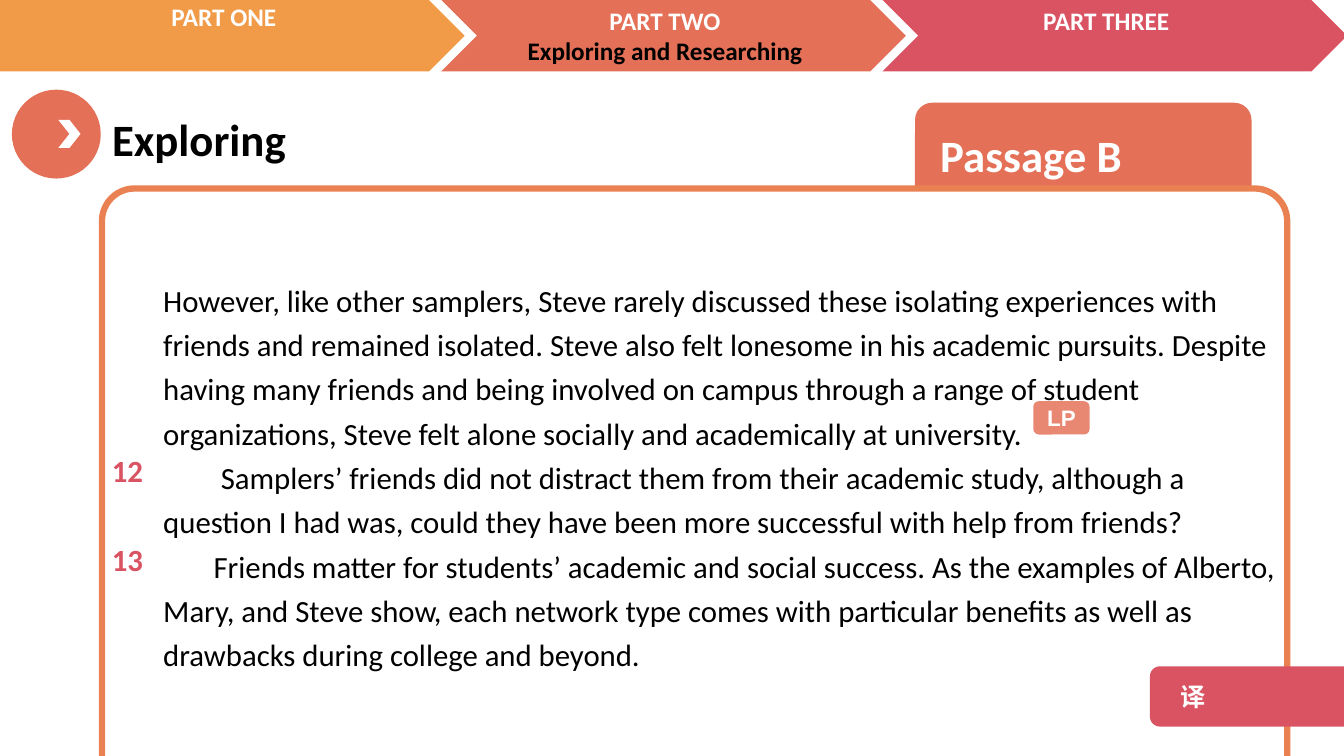
from dataclasses import dataclass

from lxml import etree
from pptx import Presentation, util as u
from pptx.dml.color import RGBColor
from pptx.enum import shapes, text
from pptx.oxml.ns import qn


@dataclass(frozen=True)
class Theme:
    orange: str = "F19B48"
    coral: str = "E47057"
    rose: str = "DA5362"
    border: str = "EA8152"
    white: str = "FFFFFF"
    black: str = "000000"
    font: str = "Calibri"
    badge_font: str = "Arial"
    chinese_font: str = "Noto Sans CJK SC"
    heading: int = 32
    body: int = 22
    label: int = 18
    badge: int = 16


THEME = Theme()
SHAPE = shapes.MSO_SHAPE
ALIGN = text.PP_ALIGN
ANCHOR = text.MSO_ANCHOR

# All lengths are centimetres; boxes are left, top, width, height.
SLIDE_SIZE = (33.87, 19.05)
PARTS = [  # lines, label top, label height
    (["PART ONE"], -0.08, 1.02),
    (["PART TWO", "Exploring and Researching"], 0, 1.8),
    (["PART THREE"], 0, 1.02),
]
PART_COLORS = [THEME.orange, THEME.coral, THEME.rose]
PART_PITCH, PART_WIDTH, PART_HEIGHT = 11.12, 11.71, 1.8
FIRST_PART_OVERHANG = 1.55
LABEL_WIDTH = 11.58

TITLE = "Exploring"
PASSAGE = [  # first-line indent, paragraph
    (0, "However, like other samplers, Steve rarely discussed these isolating "
        "experiences with friends and remained isolated. Steve also felt lonesome "
        "in his academic pursuits. Despite having many friends and being involved "
        "on campus through a range of student organizations, Steve felt alone "
        "socially and academically at university."),
    (1.45, "Samplers’ friends did not distract them from their academic study, "
           "although a question I had was, could they have been more successful "
           "with help from friends?"),
    (1.27, "Friends matter for students’ academic and social success. As the "
           "examples of Alberto, Mary, and Steve show, each network type comes "
           "with particular benefits as well as drawbacks during college and beyond."),
]
PARAGRAPH_NUMBERS = ["12", "13"]
LINE_SPACING = 1.2
NUMBER_GAP = u.Pt(32)

TITLE_BOX = (2.57, 2.69, 12.32, 1.63)
BULLET_BOX = (0.3, 2.26, 2.24, 2.24)
BULLET_ARROW_BOX = (1.47, 3.02, 0.56, 0.71)
TAB_BOX = (23.06, 2.59, 8.48, 2.59)
CARD_BOX = (2.57, 4.75, 29.87, 16.38)
PASSAGE_BOX = (3.86, 6.78, 28.58, 10.2)
NUMBERS_BOX = (2.57, 11.07, 1.3, 3.6)
TRANSLATE_BOX = (28.98, 16.79, 5.41, 1.52)
BADGE_BOX = (26.04, 10.11, 1.42, 0.84)


def place(shape, box):
    shape.left, shape.top, shape.width, shape.height = (u.Cm(length) for length in box)


def add_block(slide, preset, box, color):
    """Add a filled preset shape without outline or shadow."""
    shape = slide.shapes.add_shape(preset, *(u.Cm(length) for length in box))
    shape.shadow.inherit = False
    shape.fill.solid()
    shape.fill.fore_color.rgb = RGBColor.from_string(color)
    shape.line.fill.background()
    return shape


def add_run(paragraph, content, size, color, bold=True, font=THEME.font):
    run = paragraph.add_run()
    run.text = content
    run.font.size = u.Pt(size)
    run.font.bold = bold
    run.font.name = font
    run.font.color.rgb = RGBColor.from_string(color)
    return run


def next_paragraph(frame, index):
    return frame.add_paragraph() if index else frame.paragraphs[0]


def add_text_box(slide, box):
    shape = slide.shapes.add_textbox(*(u.Cm(length) for length in box))
    shape.text_frame.word_wrap = True
    return shape.text_frame


def add_caption(shape, content, size, inset, align=ALIGN.LEFT, font=THEME.font):
    """Write one white, vertically centred line inside a shape."""
    frame = shape.text_frame
    frame.vertical_anchor = ANCHOR.MIDDLE
    frame.margin_left = frame.margin_right = u.Cm(inset)
    frame.margin_top = frame.margin_bottom = 0
    paragraph = frame.paragraphs[0]
    paragraph.alignment = align
    return add_run(paragraph, content, size, THEME.white, font=font)


def add_progress_bar(slide):
    for index, ((lines, top, height), color) in enumerate(zip(PARTS, PART_COLORS)):
        left = index * PART_PITCH
        overhang = 0 if index else FIRST_PART_OVERHANG
        add_block(slide, SHAPE.CHEVRON,
                  (left - overhang, 0, PART_WIDTH + overhang, PART_HEIGHT), color)
        frame = add_text_box(slide, (left - 0.15, top, LABEL_WIDTH, height))
        for row, line in enumerate(lines):
            paragraph = next_paragraph(frame, row)
            paragraph.alignment = ALIGN.CENTER
            add_run(paragraph, line, THEME.label, THEME.black if row else THEME.white)


def add_heading(slide):
    add_block(slide, SHAPE.OVAL, BULLET_BOX, THEME.coral)
    add_block(slide, SHAPE.CHEVRON, BULLET_ARROW_BOX, THEME.white)
    title = slide.shapes.title
    place(title, TITLE_BOX)
    title.text_frame.auto_size = text.MSO_AUTO_SIZE.NONE
    title.text_frame.vertical_anchor = ANCHOR.MIDDLE
    paragraph = title.text_frame.paragraphs[0]
    paragraph.alignment = ALIGN.LEFT
    add_run(paragraph, TITLE, THEME.heading, THEME.black)


def add_card(slide):
    tab = add_block(slide, SHAPE.ROUNDED_RECTANGLE, TAB_BOX, THEME.coral)
    add_caption(tab, "Passage B", THEME.heading, 0.51)
    card = add_block(slide, SHAPE.ROUNDED_RECTANGLE, CARD_BOX, THEME.white)
    card.adjustments[0] = 0.05
    card.line.color.rgb = RGBColor.from_string(THEME.border)
    card.line.width = u.Pt(4.5)


def add_passage(slide):
    body = slide.placeholders[1]
    place(body, PASSAGE_BOX)
    body.element.getparent().append(body.element)  # bring in front of the card
    frame = body.text_frame
    frame.auto_size = text.MSO_AUTO_SIZE.NONE
    for index, (indent, content) in enumerate(PASSAGE):
        paragraph = next_paragraph(frame, index)
        paragraph.line_spacing = LINE_SPACING
        paragraph.space_before = u.Pt(0)
        add_run(paragraph, content, THEME.body, THEME.black, bold=False)
        properties = paragraph._p.get_or_add_pPr()
        properties.set("marL", "0")
        properties.set("indent", str(u.Cm(indent)))
        etree.SubElement(properties, qn("a:buNone"))

    frame = add_text_box(slide, NUMBERS_BOX)
    for index, number in enumerate(PARAGRAPH_NUMBERS):
        paragraph = next_paragraph(frame, index)
        paragraph.line_spacing = LINE_SPACING
        paragraph.space_before = NUMBER_GAP if index else u.Pt(0)
        add_run(paragraph, number, THEME.body, THEME.rose)


def add_buttons(slide):
    translate = add_block(slide, SHAPE.ROUNDED_RECTANGLE, TRANSLATE_BOX, THEME.rose)
    run = add_caption(translate, "译", THEME.label, 0.7, font=THEME.chinese_font)
    east_asian = etree.SubElement(run.font._element, qn("a:ea"))
    east_asian.set("typeface", THEME.chinese_font)

    badge = add_block(slide, SHAPE.ROUNDED_RECTANGLE, BADGE_BOX, THEME.coral)
    color = badge.fill._xPr.find(qn("a:solidFill"))[0]
    etree.SubElement(color, qn("a:alpha")).set("val", "83000")
    add_caption(badge, "LP", THEME.badge, 0, ALIGN.CENTER, THEME.badge_font)


def main():
    presentation = Presentation()
    presentation.slide_width, presentation.slide_height = map(u.Cm, SLIDE_SIZE)
    slide = presentation.slides.add_slide(presentation.slide_layouts[1])
    add_progress_bar(slide)
    add_heading(slide)
    add_card(slide)
    add_passage(slide)
    add_buttons(slide)
    presentation.save("out.pptx")


if __name__ == "__main__":
    main()
